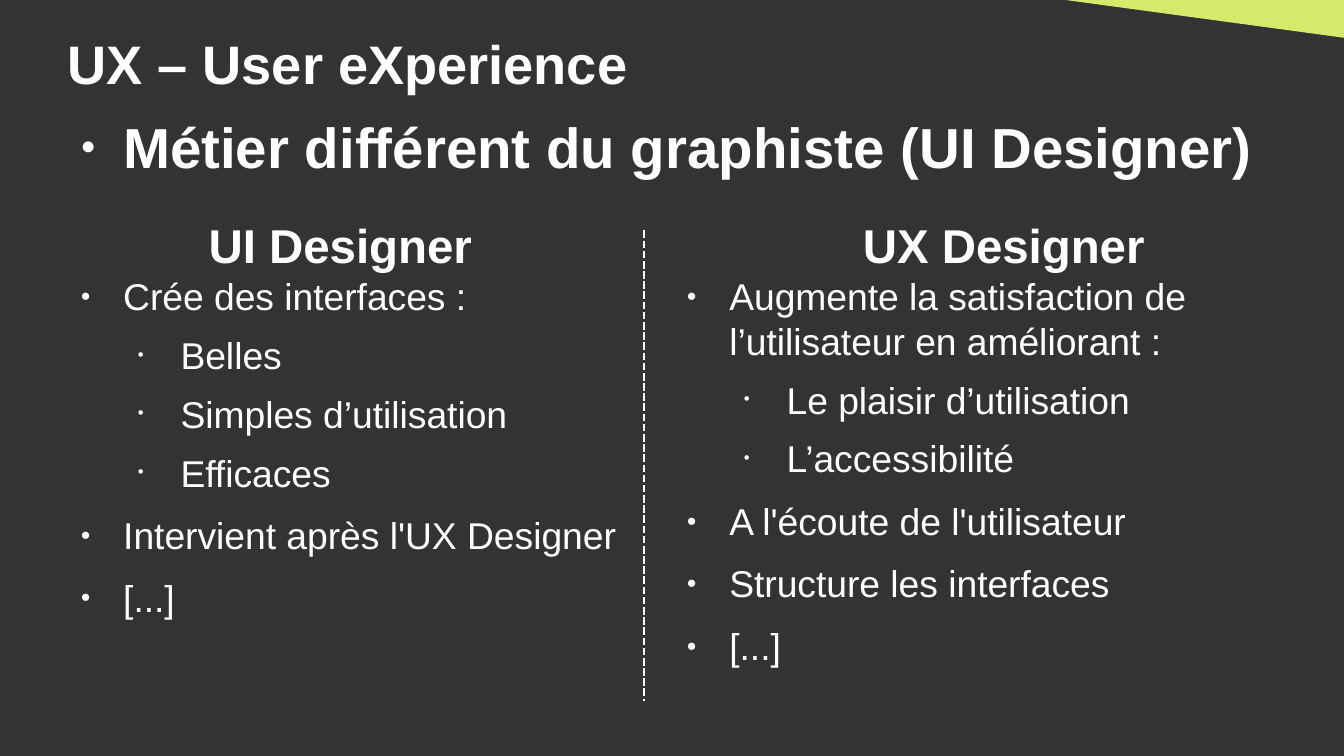
from dataclasses import dataclass

import pptx
import pptx.dml.color
import pptx.enum.dml
import pptx.enum.shapes
import pptx.enum.text
import pptx.oxml
import pptx.oxml.ns
import pptx.util
from pptx.util import Inches


@dataclass(frozen=True)
class Theme:
    background: str = "333333"
    text: str = "FFFFFF"
    accent: str = "D4EA6B"
    font: str = "Arial"
    title_size: float = 32
    lead_size: float = 33.3
    heading_size: float = 28
    list_size: float = 22
    bullet_percent: int = 45
    bullets: tuple = ("●", "•")
    gaps: tuple = (10.5, 8.4)  # space before, by list level
    indents: tuple = (0.47, 0.94)
    hanging: float = 0.35


def rgb(color):
    return pptx.dml.color.RGBColor.from_string(color)


def add_xml(parent, tag, **attributes):
    child = pptx.oxml.parse_xml(f"<a:{tag} {pptx.oxml.ns.nsdecls('a')}/>")
    for name, value in attributes.items():
        child.set(name, str(value))
    parent.append(child)
    return child


class SlideBuilder:
    def __init__(self, prs, layout, theme):
        self.theme = theme
        self.s = prs.slides.add_slide(layout)
        self.s.background.fill.solid()
        self.s.background.fill.fore_color.rgb = rgb(theme.background)

    def prepare(self, sp, box):
        """Place a text shape and return its cleared-margin text frame."""
        sp.left, sp.top, sp.width, sp.height = map(Inches, box)
        tf = sp.text_frame
        tf.word_wrap = True
        tf.auto_size = pptx.enum.text.MSO_AUTO_SIZE.NONE
        tf.vertical_anchor = pptx.enum.text.MSO_ANCHOR.TOP
        tf.margin_left = tf.margin_top = tf.margin_right = tf.margin_bottom = 0
        return tf

    def add_run(self, p, text, size, bold):
        r = p.add_run()
        r.text = text
        r.font.name = self.theme.font
        r.font.size = pptx.util.Pt(size)
        r.font.bold = bold
        r.font.color.rgb = rgb(self.theme.text)

    def title(self, text, box):
        p = self.prepare(self.s.shapes.title, box).paragraphs[0]
        p.alignment = pptx.enum.text.PP_ALIGN.LEFT
        self.add_run(p, text, self.theme.title_size, True)

    def heading(self, text, box):
        sp = self.s.shapes.add_textbox(*map(Inches, box))
        p = self.prepare(sp, box).paragraphs[0]
        p.alignment = pptx.enum.text.PP_ALIGN.CENTER
        self.add_run(p, text, self.theme.heading_size, True)

    def add_bullet(self, p, level):
        pPr = p._p.get_or_add_pPr()
        pPr.set("marL", str(Inches(self.theme.indents[level])))
        pPr.set("indent", str(-Inches(self.theme.hanging)))
        add_xml(add_xml(pPr, "buClr"), "srgbClr", val=self.theme.text)
        add_xml(pPr, "buSzPct", val=self.theme.bullet_percent * 1000)
        add_xml(pPr, "buChar", char=self.theme.bullets[level])

    def bullet_list(self, idx, items, box, size, bold=False):
        """Fill body placeholder idx with (level, text) items."""
        tf = self.prepare(self.s.placeholders[idx], box)
        for i, (level, text) in enumerate(items):
            p = tf.add_paragraph() if i else tf.paragraphs[0]
            p.level = level
            self.add_bullet(p, level)
            p.space_before = pptx.util.Pt(self.theme.gaps[level] if i else 0)
            self.add_run(p, text, size, bold)

    def corner(self, box):
        """Draw a right triangle whose square corner is at the top right."""
        sp = self.s.shapes.add_shape(
            pptx.enum.shapes.MSO_SHAPE.RIGHT_TRIANGLE, *map(Inches, box))
        sp.rotation = 180
        sp.shadow.inherit = False
        sp.fill.solid()
        sp.fill.fore_color.rgb = rgb(self.theme.accent)
        sp.line.fill.background()

    def divider(self, x, top, bottom):
        line = self.s.shapes.add_connector(
            pptx.enum.shapes.MSO_CONNECTOR.STRAIGHT,
            *map(Inches, (x, top, x, bottom)))
        line.line.color.rgb = rgb(self.theme.text)
        line.line.width = pptx.util.Pt(1.5)
        line.line.dash_style = pptx.enum.dml.MSO_LINE.SQUARE_DOT
        add_xml(line._element.spPr, "effectLst")

    def remove_empty_placeholders(self):
        for sp in list(self.s.placeholders):
            if not sp.text_frame.text:
                sp._element.getparent().remove(sp._element)


def main():
    theme = Theme()
    prs = pptx.Presentation()
    prs.slide_width, prs.slide_height = Inches(11.02), Inches(6.2)
    slide = SlideBuilder(prs, prs.slide_layouts.get_by_name("Comparison"), theme)

    slide.corner((8.37, -0.05, 2.65, 0.36))
    slide.title("UX – User eXperience", (0.55, 0.25, 9.92, 0.51))
    slide.bullet_list(1, [(0, "Métier différent du graphiste (UI Designer)")],
                      (0.54, 0.92, 10.26, 0.59), theme.lead_size, bold=True)
    slide.divider(5.28, 1.89, 5.75)

    ui_items = [
        (0, "Crée des interfaces :"),
        (1, "Belles"),
        (1, "Simples d’utilisation"),
        (1, "Efficaces"),
        (0, "Intervient après l'UX Designer"),
        (0, "[...]"),
    ]
    ux_items = [
        (0, "Augmente la satisfaction de l’utilisateur en améliorant :"),
        (1, "Le plaisir d’utilisation"),
        (1, "L’accessibilité"),
        (0, "A l'écoute de l'utilisateur"),
        (0, "Structure les interfaces"),
        (0, "[...]"),
    ]
    columns = [
        ("UI Designer", 0.47, 2, ui_items, 0.54, 4.58),
        ("UX Designer", 5.91, 4, ux_items, 5.51, 5.51),
    ]
    for heading, heading_left, idx, items, list_left, list_width in columns:
        slide.heading(heading, (heading_left, 1.77, 4.64, 0.51))
        slide.bullet_list(idx, items, (list_left, 2.24, list_width, 3.11),
                          theme.list_size)

    slide.remove_empty_placeholders()
    prs.save("out.pptx")


if __name__ == "__main__":
    main()
